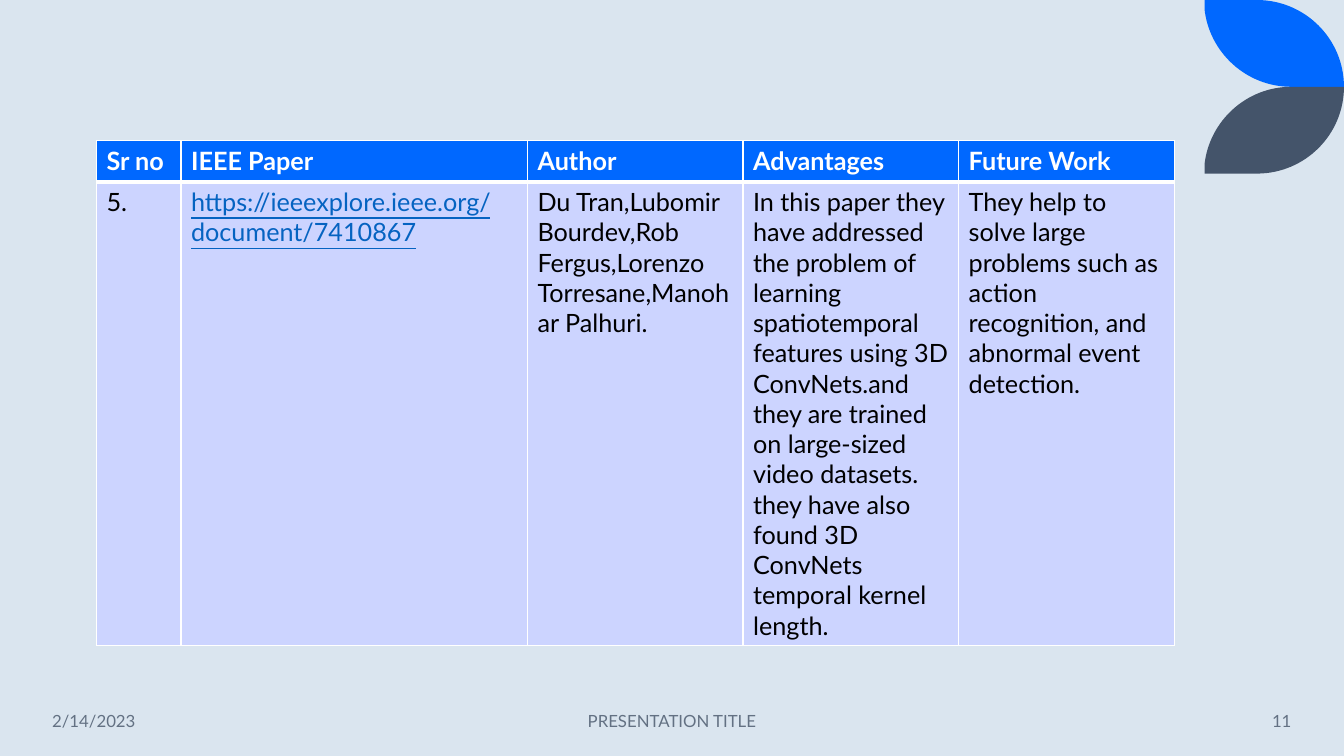
import pptx
import pptx.util
import pptx.oxml
import pptx.oxml.ns
import pptx.dml.color
import pptx.enum.text

Pt = pptx.util.Pt
Align = pptx.enum.text.PP_ALIGN
Anchor = pptx.enum.text.MSO_ANCHOR

HUES = {
    "back": "DAE5EF",
    "blue": "0068FF",
    "slate": "44546A",
    "pale": "CCD4FF",
    "white": "FFFFFF",
    "black": "000000",
    "link": "0563C1",
    "foot": "637183",
}
WIDTHS = [60.4, 247.5, 154, 154, 154]
HEIGHTS = [29.2, 331.2]
ROWS = [
    ["Sr no", "IEEE Paper", "Author", "Advantages", "Future Work"],
    [
        "5.",
        "https://ieeexplore.ieee.org/document/7410867",
        "Du Tran,Lubomir Bourdev,Rob Fergus,Lorenzo Torresane,Manohar Palhuri.",
        "In this paper they have addressed the problem of learning "
        "spatiotemporal features using 3D ConvNets.and they are trained on "
        "large-sized video datasets. they have also found 3D ConvNets "
        "temporal kernel length.",
        "They help to solve large problems such as action recognition, "
        "and abnormal event detection.",
    ],
]
FEET = [
    ("2/14/2023", 30.2, 134, Align.LEFT),
    ("PRESENTATION TITLE", 318, 324, Align.CENTER),
    ("11", 799.2, 130.4, Align.RIGHT),
]
LEAF = [
    (860.4, 0), (897.8, 0), (932.1, 0), (960, 27.7), (960, 62),
    (922.3, 62), (890.2, 62), (863.8, 37.4), (860.4, 6.5),
]
BENDS = [1, 5]


def hue(name):
    """Return the named colour."""
    return pptx.dml.color.RGBColor.from_string(HUES[name])


class Deck:
    """Hold the style and the current slide."""

    def __init__(self, font):
        """Start a deck with one blank slide."""
        self.font = font
        self.show = pptx.Presentation()
        self.show.slide_width, self.show.slide_height = Pt(960), Pt(540)
        self.slide = self.show.slides.add_slide(self.show.slide_layouts[6])
        fill = self.slide.background.fill
        fill.solid()
        fill.fore_color.rgb = hue("back")

    def style(self, para, size, tint, bold=False, line=False):
        """Set the font of a paragraph."""
        font = para.font
        font.name, font.size = self.font, Pt(size)
        font.bold, font.underline = bold, line
        font.color.rgb = hue(tint)

    def bend(self, shape, starts):
        """Turn each three segments from a start into one cubic curve."""
        name = pptx.oxml.ns.qn
        lines = list(shape._element.iter(name("a:lnTo")))
        for start in starts:
            trio = lines[start:start + 3]
            curve = pptx.oxml.parse_xml(
                f'<a:cubicBezTo {pptx.oxml.ns.nsdecls("a")}/>')
            trio[0].addprevious(curve)
            for line in trio:
                curve.append(line.find(name("a:pt")))
                line.getparent().remove(line)

    def leaf(self, dots, tint):
        """Draw a filled leaf with curved sides."""
        spots = [(Pt(x), Pt(y)) for x, y in dots]
        form = self.slide.shapes.build_freeform(*spots[0], scale=1.0)
        form.add_line_segments(spots[1:], close=True)
        shape = form.convert_to_shape()
        self.bend(shape, BENDS)
        shape.shadow.inherit = False
        shape.fill.solid()
        shape.fill.fore_color.rgb = hue(tint)
        shape.line.fill.background()

    def text(self, words, left, top, width, height, align):
        """Add a line of footer text."""
        frame = self.slide.shapes.add_textbox(
            Pt(left), Pt(top), Pt(width), Pt(height)).text_frame
        frame.word_wrap = True
        frame.vertical_anchor = Anchor.MIDDLE
        para = frame.paragraphs[0]
        para.text, para.alignment = words, align
        self.style(para, 12, "foot")

    def edge(self, cell, sides):
        """Draw white borders on a cell."""
        props = cell._tc.get_or_add_tcPr()
        space = pptx.oxml.ns.nsdecls("a")
        for spot, (side, width) in enumerate(sides.items()):
            props.insert(spot, pptx.oxml.parse_xml(
                f'<a:ln{side} {space} w="{Pt(width)}"><a:solidFill>'
                f'<a:srgbClr val="{HUES["white"]}"/></a:solidFill></a:ln{side}>'))

    def table(self, rows, left, top, widths, heights):
        """Add a table with a bold header row."""
        grid = self.slide.shapes.add_table(
            len(rows), len(widths), Pt(left), Pt(top),
            Pt(sum(widths)), Pt(sum(heights))).table
        for col, width in zip(grid.columns, widths):
            col.width = Pt(width)
        for r, (row, height) in enumerate(zip(rows, heights)):
            grid.rows[r].height = Pt(height)
            head = r == 0
            for c, words in enumerate(row):
                cell = grid.cell(r, c)
                cell.text = words
                cell.fill.solid()
                cell.fill.fore_color.rgb = hue("blue" if head else "pale")
                link = words.startswith("https")
                tint = "white" if head else "link" if link else "black"
                self.style(cell.text_frame.paragraphs[0], 18, tint, head, link)
                self.edge(cell, {"L": 1, "R": 1, "T": 1 if head else 3,
                                 "B": 3 if head else 1})


def main():
    """Build and save the slide."""
    deck = Deck("Lato")
    deck.leaf(LEAF, "blue")
    deck.leaf([(x, 124 - y) for x, y in LEAF], "slate")
    deck.table(ROWS, 68.9, 100.6, WIDTHS, HEIGHTS)
    for words, left, width, align in FEET:
        deck.text(words, left, 500.4, width, 28.8, align)
    deck.show.save("out.pptx")


if __name__ == "__main__":
    main()
